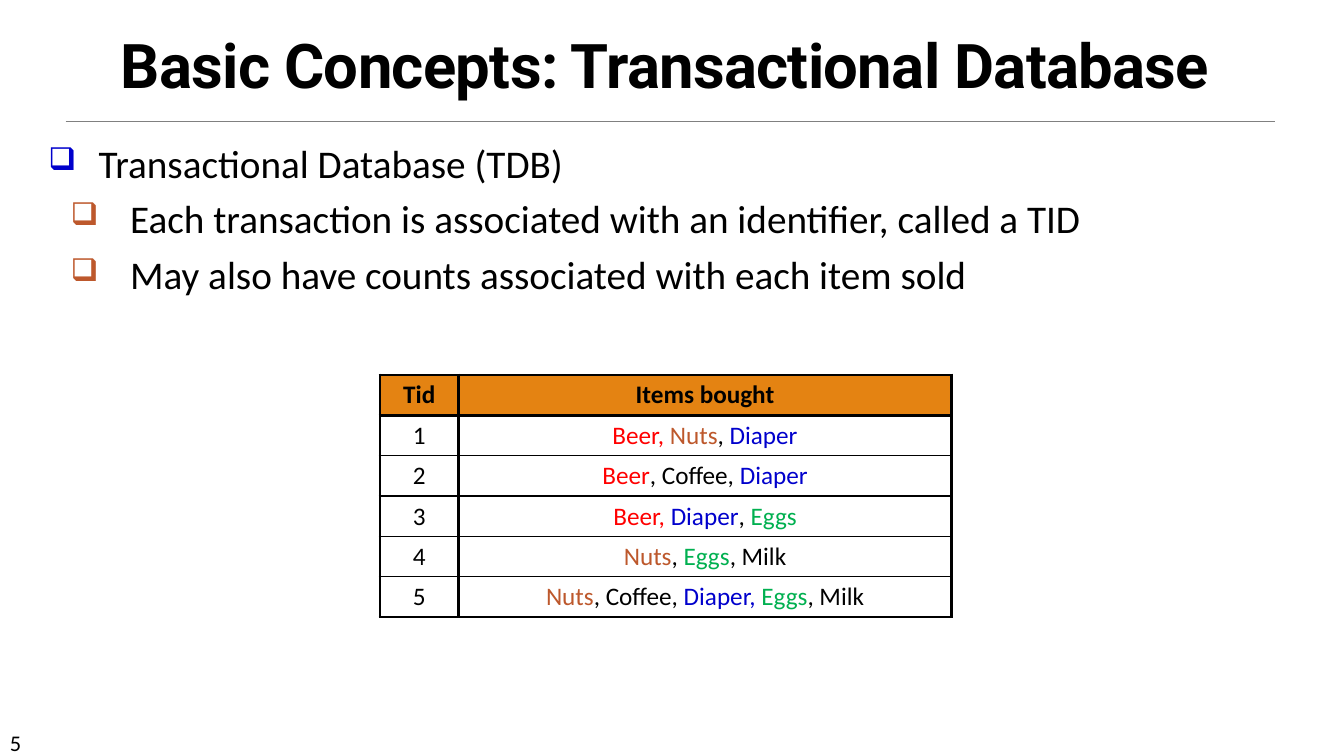
from dataclasses import dataclass

from lxml import etree
from pptx import Presentation
from pptx.dml.color import RGBColor
from pptx.enum.shapes import MSO_CONNECTOR
from pptx.enum.text import MSO_ANCHOR, MSO_AUTO_SIZE, PP_ALIGN
from pptx.oxml.ns import qn
from pptx.util import Pt

CENTER = PP_ALIGN.CENTER
BOTTOM = MSO_ANCHOR.BOTTOM
NO_AUTOFIT = MSO_AUTO_SIZE.NONE
STRAIGHT = MSO_CONNECTOR.STRAIGHT
TITLE_ONLY = 5
BODY_FONT = "Calibri"
TITLE_FONT = "Roboto"
THICK, THIN = 2.25, 1
COLORS = {
    "black": "000000",
    "rule": "808080",
    "header": "E48312",
    "red": "FF0000",
    "brown": "BD582C",
    "blue": "0000CC",
    "green": "00B050",
}


@dataclass
class Bullet:
    text: str
    level: int
    color: str
    margin: float
    hanging: float


@dataclass
class Span:
    text: str
    color: str = "black"


BULLETS = [
    Bullet("Transactional Database (TDB)", 0, "blue", 36, 36),
    Bullet("Each transaction is associated with an identifier, called a TID",
           1, "brown", 58.5, 42.5),
    Bullet("May also have counts associated with each item sold",
           1, "brown", 58.5, 42.5),
]

TRANSACTIONS = [
    [Span("Beer, ", "red"), Span("Nuts", "brown"), Span(", "), Span("Diaper", "blue")],
    [Span("Beer", "red"), Span(", Coffee, "), Span("Diaper", "blue")],
    [Span("Beer, ", "red"), Span("Diaper", "blue"), Span(", "), Span("Eggs", "green")],
    [Span("Nuts", "brown"), Span(", "), Span("Eggs", "green"), Span(", Milk")],
    [Span("Nuts", "brown"), Span(", Coffee, "), Span("Diaper, ", "blue"),
     Span("Eggs", "green"), Span(", Milk")],
]


def rgb(name: str) -> RGBColor:
    return RGBColor.from_string(COLORS[name])


def style_font(font, size: float, color: str = "black", bold: bool = False,
               name: str = BODY_FONT) -> None:
    font.name = name
    font.size = Pt(size)
    font.bold = bold
    font.color.rgb = rgb(color)


def add_title(page, text: str) -> None:
    title = page.shapes.title
    title.left, title.top = Pt(27.4), Pt(17.3)
    title.width, title.height = Pt(895), Pt(58.3)
    frame = title.text_frame
    frame.text = text
    frame.auto_size = NO_AUTOFIT
    frame.vertical_anchor = BOTTOM
    para = frame.paragraphs[0]
    para.alignment = CENTER
    para.line_spacing = 0.85
    span = para.runs[0]
    style_font(span.font, 44, bold=True, name=TITLE_FONT)
    span.font._element.set("spc", "-50")


def add_rule(page) -> None:
    rule = page.shapes.add_connector(STRAIGHT, Pt(46.8), Pt(86.4), Pt(910.8), Pt(86.4))
    rule.line.color.rgb = rgb("rule")
    rule.line.width = Pt(0.5)
    etree.SubElement(rule._element.spPr, qn("a:effectLst"))


def add_text_box(page, left: float, top: float, width: float, height: float):
    box = page.shapes.add_textbox(Pt(left), Pt(top), Pt(width), Pt(height))
    box.text_frame.word_wrap = True
    return box.text_frame


def add_bullets(page, bullets: list[Bullet]) -> None:
    frame = add_text_box(page, 27.4, 95.8, 897.8, 424)
    frame.text = "\n".join(bullet.text for bullet in bullets)
    for index, (para, bullet) in enumerate(zip(frame.paragraphs, bullets)):
        para.level = bullet.level
        properties = para._p.get_or_add_pPr()
        properties.set("marL", str(Pt(bullet.margin)))
        properties.set("indent", str(-Pt(bullet.hanging)))
        color = etree.SubElement(properties, qn("a:buClr"))
        etree.SubElement(color, qn("a:srgbClr"), val=COLORS[bullet.color])
        etree.SubElement(properties, qn("a:buSzPct"), val="80000")
        etree.SubElement(properties, qn("a:buChar"), char="❑")
        if index:
            para.space_before = Pt(6)
        style_font(para.runs[0].font, 28)


def set_border(cell, side: str, width: float) -> None:
    line = etree.SubElement(cell._tc.get_or_add_tcPr(), qn(f"a:{side}"), w=str(Pt(width)))
    fill = etree.SubElement(line, qn("a:solidFill"))
    etree.SubElement(fill, qn("a:srgbClr"), val=COLORS["black"])


def fill_cell(cell, spans: list[Span], header: bool, top: float, bottom: float) -> None:
    cell.margin_left = cell.margin_right = Pt(9.4)
    cell.margin_top = cell.margin_bottom = Pt(3.6)
    for side, width in (("lnL", THICK), ("lnR", THICK), ("lnT", top), ("lnB", bottom)):
        set_border(cell, side, width)
    if header:
        cell.fill.solid()
        cell.fill.fore_color.rgb = rgb("header")
    else:
        cell.fill.background()
    para = cell.text_frame.paragraphs[0]
    para.alignment = CENTER
    for item in spans:
        span = para.add_run()
        span.text = item.text
        style_font(span.font, 18, item.color, header)


def add_transactions(page, transactions: list[list[Span]]) -> None:
    rows = [[[Span("Tid")], [Span("Items bought")]]]
    rows += [[[Span(str(tid))], items] for tid, items in enumerate(transactions, 1)]
    widths, row_height = (56.2, 352.1), 28.8
    table = page.shapes.add_table(len(rows), len(widths), Pt(271.4), Pt(267.8),
                                  Pt(sum(widths)), Pt(row_height * len(rows))).table
    table.horz_banding = False
    for column, width in zip(table.columns, widths):
        column.width = Pt(width)
    last = len(rows) - 1
    for index, row in enumerate(rows):
        table.rows[index].height = Pt(row_height)
        top = THICK if index <= 1 else THIN
        bottom = THICK if index in (0, last) else THIN
        for column, spans in enumerate(row):
            fill_cell(table.cell(index, column), spans, index == 0, top, bottom)


def add_page_number(page, number: str) -> None:
    frame = add_text_box(page, 0, 517, 84.2, 21.6)
    frame.text = number
    style_font(frame.paragraphs[0].runs[0].font, 16)


def main() -> None:
    deck = Presentation()
    deck.slide_width, deck.slide_height = Pt(960), Pt(540)
    page = deck.slides.add_slide(deck.slide_layouts[TITLE_ONLY])
    add_rule(page)
    add_page_number(page, "5")
    add_title(page, "Basic Concepts: Transactional Database")
    add_bullets(page, BULLETS)
    add_transactions(page, TRANSACTIONS)
    deck.save("out.pptx")


if __name__ == "__main__":
    main()
